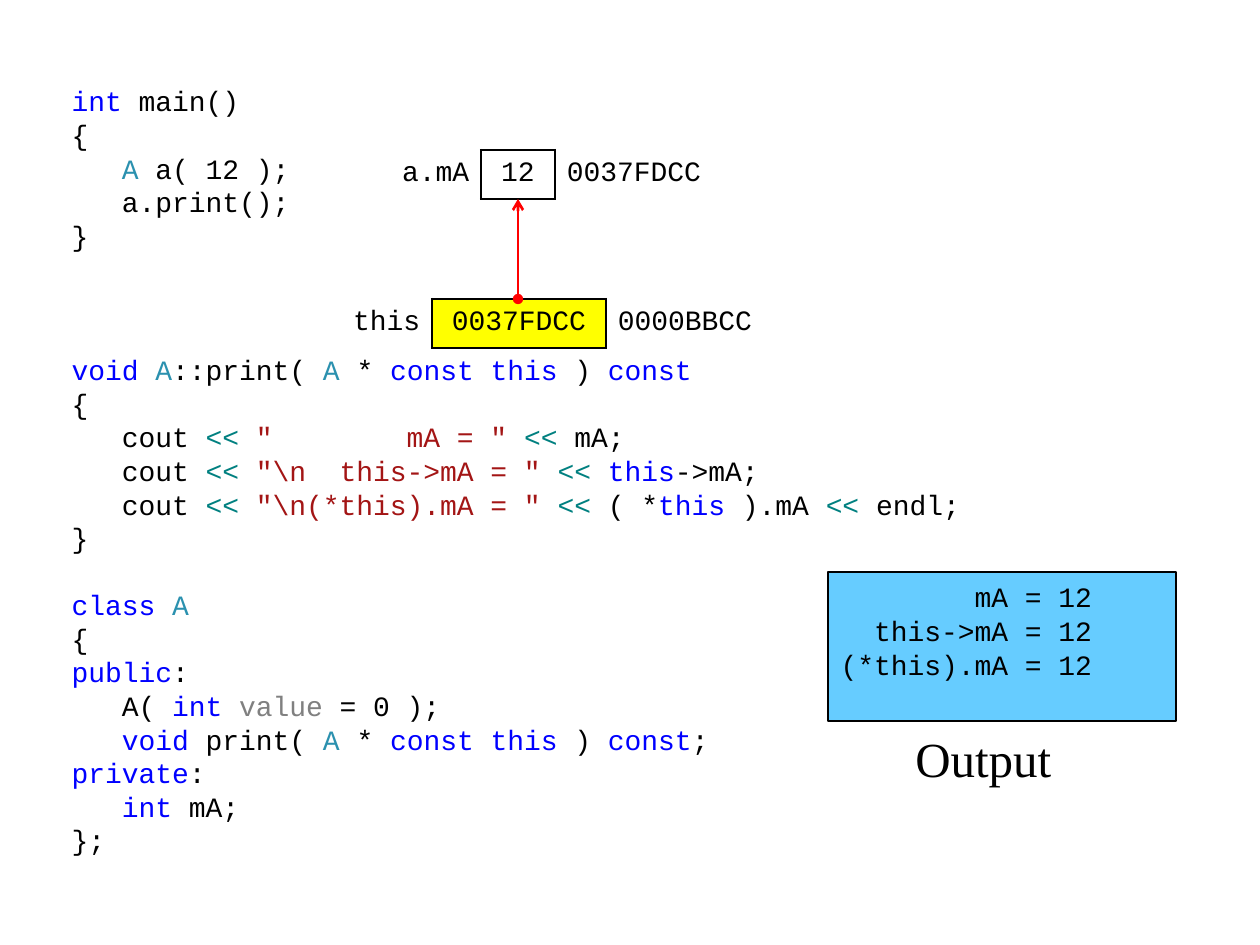
from lxml.etree import SubElement
from pptx import Presentation
from pptx.dml.color import RGBColor
from pptx.enum.shapes import MSO_CONNECTOR
from pptx.enum.text import MSO_ANCHOR, MSO_AUTO_SIZE, PP_ALIGN
from pptx.oxml.ns import qn
from pptx.util import Emu, Pt

BLACK = RGBColor(0x00, 0x00, 0x00)
KEYWORD = RGBColor(0x00, 0x00, 0xFF)
TYPE = RGBColor(0x2B, 0x91, 0xAF)
OPERATOR = RGBColor(0x00, 0x80, 0x80)
STRING = RGBColor(0xA3, 0x15, 0x15)
PARAMETER = RGBColor(0x80, 0x80, 0x80)
OUTPUT_FILL = RGBColor(0x66, 0xCC, 0xFF)
YELLOW = RGBColor(0xFF, 0xFF, 0x00)
RED = RGBColor(0xFF, 0x00, 0x00)

INT = ("int", KEYWORD)
SHIFT = ("<<", OPERATOR)
THIS = ("this", KEYWORD)
COUT = ["   cout ", SHIFT, " "]
PRINT_PARAMETERS = ["print( ", ("A ", TYPE), "* ", ("const this ", KEYWORD),
                    ") ", ("const", KEYWORD)]

# Each section is a list of lines; each line is a list of black or coloured runs.
MAIN_FUNCTION = [
    [INT, " main()"],
    ["{"],
    ["   ", ("A", TYPE), " a( 12 );"],
    ["   a.print();"],
    ["}"],
]
PRINT_FUNCTION = [
    [("void ", KEYWORD), ("A", TYPE), "::", *PRINT_PARAMETERS],
    ["{"],
    [*COUT, ('"        mA = " ', STRING), SHIFT, " mA;"],
    [*COUT, ('"\\n  this->mA = " ', STRING), SHIFT, " ", THIS, "->mA;"],
    [*COUT, ('"\\n(*this).mA = " ', STRING), SHIFT, " ( *", THIS, " ).mA ",
     SHIFT, " endl;"],
    ["}"],
]
CLASS_A = [
    [("class ", KEYWORD), ("A", TYPE)],
    ["{"],
    [("public", KEYWORD), ":"],
    ["   A( ", INT, " ", ("value", PARAMETER), " = 0 );"],
    ["   ", ("void ", KEYWORD), *PRINT_PARAMETERS, ";"],
    [("private", KEYWORD), ":"],
    ["   ", INT, " mA;"],
    ["};"],
]
OUTPUT = [
    ["         mA = 12"],
    ["   this->mA = 12".removeprefix(" ")],
    ["(*this).mA = 12"],
]
OUTPUT[0] = ["        mA = 12"]


def px(length):
    return Emu(round(length * 914400 / 126))


class SlideBuilder:
    code_font = "Courier New"
    label_font = "Times New Roman"
    code_size = 16
    line_pitch = 19.2
    line_width = Pt(1.5)

    def __init__(self, slide):
        self.slide = slide

    def set_font(self, paragraph, name, size):
        paragraph.font.name = name
        paragraph.font.size = Pt(size)
        paragraph.font.color.rgb = BLACK

    def code(self, placeholder, box, sections):
        """Fill a placeholder with (blank lines before, code lines) sections."""
        placeholder.left, placeholder.top, placeholder.width, placeholder.height = map(px, box)
        frame = placeholder.text_frame
        frame.auto_size = MSO_AUTO_SIZE.NONE
        frame.word_wrap = True
        frame.vertical_anchor = MSO_ANCHOR.TOP
        frame.margin_top = px(8)
        paragraph = None
        for blank_lines, lines in sections:
            for number, runs in enumerate(lines):
                paragraph = frame.add_paragraph() if paragraph else frame.paragraphs[0]
                properties = paragraph._p.get_or_add_pPr()
                properties.set("marL", str(px(49)))
                properties.set("indent", str(-px(49)))
                SubElement(properties, qn("a:buNone"))
                paragraph.line_spacing = Pt(self.line_pitch)
                paragraph.space_before = Pt(0 if number else blank_lines * self.line_pitch)
                self.set_font(paragraph, self.code_font, self.code_size)
                for item in runs:
                    text, color = (item, BLACK) if isinstance(item, str) else item
                    run = paragraph.add_run()
                    run.text = text
                    run.font.color.rgb = color

    def outline(self, shape, fill):
        shape.fill.solid()
        shape.fill.fore_color.rgb = fill
        shape.line.color.rgb = BLACK
        shape.line.width = self.line_width

    def label(self, box, text, size):
        frame = self.slide.shapes.add_textbox(*map(px, box)).text_frame
        frame.word_wrap = True
        frame.vertical_anchor = MSO_ANCHOR.MIDDLE
        paragraph = frame.paragraphs[0]
        paragraph.text = text
        self.set_font(paragraph, self.label_font, size)

    def cell_borders(self, cell, visible_sides):
        properties = cell._tc.get_or_add_tcPr()
        for side in "LRTB":
            border = SubElement(properties, qn(f"a:ln{side}"), w=str(self.line_width))
            if side in visible_sides:
                fill = SubElement(border, qn("a:solidFill"))
                SubElement(fill, qn("a:srgbClr"), val=str(BLACK))
            else:
                SubElement(border, qn("a:noFill"))

    def variable(self, left, top, widths, texts, fill=None):
        """Draw a boxed value with its name on the left and address on the right."""
        height = 49
        table = self.slide.shapes.add_table(
            1, 3, px(left), px(top), px(sum(widths)), px(height)).table
        table.first_row = table.horz_banding = False
        table.rows[0].height = px(height)
        alignments = (PP_ALIGN.RIGHT, PP_ALIGN.CENTER, PP_ALIGN.LEFT)
        for column, (width, text, alignment, sides) in enumerate(
                zip(widths, texts, alignments, ("R", "LRTB", "L"))):
            table.columns[column].width = px(width)
            cell = table.cell(0, column)
            self.cell_borders(cell, sides)
            if fill and column == 1:
                cell.fill.solid()
                cell.fill.fore_color.rgb = fill
            else:
                cell.fill.background()
            cell.vertical_anchor = MSO_ANCHOR.MIDDLE
            cell.margin_top = cell.margin_bottom = px(5)
            cell.margin_left = cell.margin_right = px(12)
            paragraph = cell.text_frame.paragraphs[0]
            paragraph.text = text
            paragraph.alignment = alignment
            self.set_font(paragraph, self.code_font, self.code_size)

    def pointer(self, x, start_y, end_y):
        connector = self.slide.shapes.add_connector(
            MSO_CONNECTOR.STRAIGHT, px(x), px(start_y), px(x), px(end_y))
        connector.line.color.rgb = RED
        connector.line.width = self.line_width
        line = connector.line._get_or_add_ln()
        SubElement(line, qn("a:headEnd"), type="oval")
        SubElement(line, qn("a:tailEnd"), type="arrow")
        SubElement(connector._element.spPr, qn("a:effectLst"))


def main():
    presentation = Presentation()
    presentation.slide_width, presentation.slide_height = px(1260), px(945)
    slide = presentation.slides.add_slide(presentation.slide_layouts[3])
    title, code_body, output_body = slide.placeholders
    title._element.getparent().remove(title._element)

    builder = SlideBuilder(slide)
    builder.code(code_body, (59, 76, 917, 794),
                 [(0, MAIN_FUNCTION), (3, PRINT_FUNCTION), (1, CLASS_A)])
    builder.code(output_body, (828, 572, 348, 149), [(0, OUTPUT)])
    builder.outline(output_body, OUTPUT_FILL)
    builder.label((903, 721, 199, 74), "Output", 28)
    builder.variable(307, 150, (174, 74, 174), ("a.mA", "12", "0037FDCC"))
    builder.variable(258, 299, (174, 174, 174), ("this", "0037FDCC", "0000BBCC"), YELLOW)
    builder.pointer(518, 299, 199)
    presentation.save("out.pptx")


if __name__ == "__main__":
    main()
